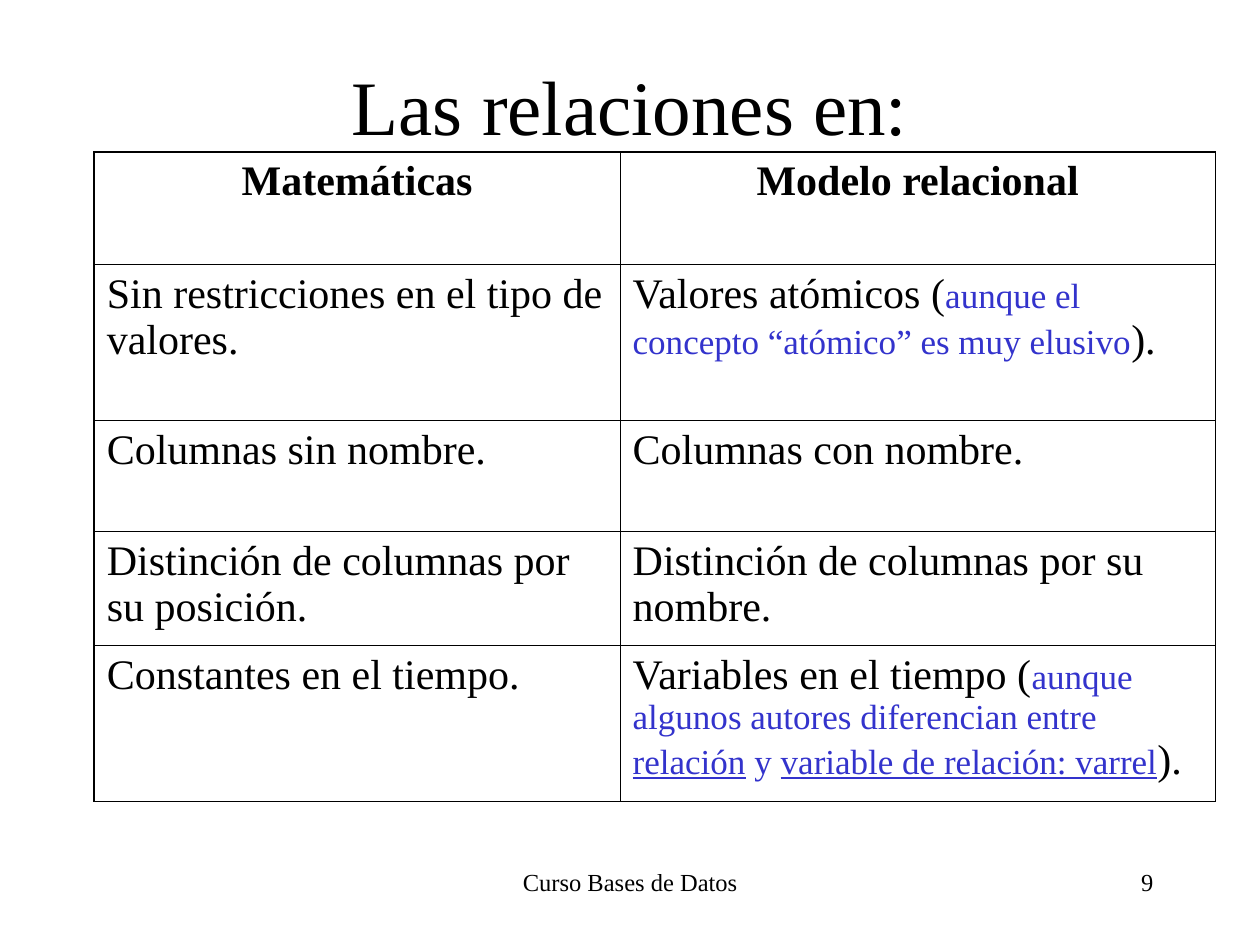
from lxml.etree import SubElement
from pptx import Presentation
from pptx.dml.color import RGBColor
from pptx.enum.text import MSO_ANCHOR, MSO_AUTO_SIZE, PP_ALIGN
from pptx.oxml.ns import qn
from pptx.util import Cm, Pt

COLORS = {"text": "000000", "remark": "3333CC", "border": "000000"}
THICK, THIN = 1.08, 0.45


def write(paragraph, text, size=24, color="text", bold=False, underline=False,
          align=PP_ALIGN.LEFT):
    paragraph.alignment = align
    run = paragraph.add_run()
    run.text = text
    run.font.name = "Times New Roman"
    run.font.size = Pt(size)
    run.font.bold = bold
    run.font.underline = underline
    run.font.color.rgb = RGBColor.from_string(COLORS[color])


def set_borders(cell, widths):
    """Draw the left, right, top and bottom borders, with widths in points."""
    properties = cell._tc.get_or_add_tcPr()
    for position, (side, width) in enumerate(zip("LRTB", widths)):
        line = SubElement(properties, qn(f"a:ln{side}"), w=str(Pt(width)))
        fill = SubElement(line, qn("a:solidFill"))
        SubElement(fill, qn("a:srgbClr"), val=COLORS["border"])
        properties.insert(position, line)


presentation = Presentation()
presentation.slide_width, presentation.slide_height = Cm(25.4), Cm(19.05)
slide = presentation.slides.add_slide(presentation.slide_layouts[5])

# Title
title = slide.shapes.title
title.left, title.top, title.width, title.height = Cm(1.9), Cm(0.53), Cm(21.6), Cm(3.18)
title.text_frame.auto_size = MSO_AUTO_SIZE.NONE
title.text_frame.vertical_anchor = MSO_ANCHOR.MIDDLE
write(title.text_frame.paragraphs[0], "Las relaciones en:", size=44, align=PP_ALIGN.CENTER)

# Comparison table: each cell is a list of (text, format) pieces
remark = {"size": 20, "color": "remark"}
linked = {**remark, "underline": True}
heading = {"bold": True, "align": PP_ALIGN.CENTER}
rows = [
    (2.26, [("Matemáticas", heading)], [("Modelo relacional", heading)]),
    (3.15, [("Sin restricciones en el tipo de valores.", {})],
     [("Valores atómicos (", {}),
      ("aunque el concepto “atómico” es muy elusivo", remark), (").", {})]),
    (2.24, [("Columnas sin nombre.", {})], [("Columnas con nombre.", {})]),
    (2.29, [("Distinción de columnas por su posición.", {})],
     [("Distinción de columnas por su nombre.", {})]),
    (3.15, [("Constantes en el tiempo.", {})],
     [("Variables en el tiempo (", {}),
      ("aunque algunos autores diferencian entre ", remark), ("relación", linked),
      (" y ", remark), ("variable de relación: varrel", linked), (").", {})]),
]
column_widths = [10.6, 12]
table = slide.shapes.add_table(
    len(rows), len(column_widths), Cm(1.9), Cm(3.07),
    Cm(sum(column_widths)), Cm(sum(row[0] for row in rows))).table
table.first_row = table.horz_banding = False
for column, width in zip(table.columns, column_widths):
    column.width = Cm(width)

last_row, last_column = len(rows) - 1, len(column_widths) - 1
for row_index, (height, *cells) in enumerate(rows):
    table.rows[row_index].height = Cm(height)
    for column_index, pieces in enumerate(cells):
        cell = table.cell(row_index, column_index)
        cell.fill.background()
        outer_sides = (column_index == 0, column_index == last_column,
                       row_index == 0, row_index == last_row)
        set_borders(cell, [THICK if outer else THIN for outer in outer_sides])
        paragraph = cell.text_frame.paragraphs[0]
        paragraph.space_before = Pt(6)
        for text, style in pieces:
            write(paragraph, text, **style)

# Footer and page number
for text, left, width, align in [
    ("Curso Bases de Datos", 8.68, 8.05, PP_ALIGN.CENTER),
    ("9", 18.2, 5.3, PP_ALIGN.RIGHT),
]:
    box = slide.shapes.add_textbox(Cm(left), Cm(17.36), Cm(width), Cm(1.27))
    box.text_frame.word_wrap = True
    write(box.text_frame.paragraphs[0], text, size=14, align=align)

presentation.save("out.pptx")
